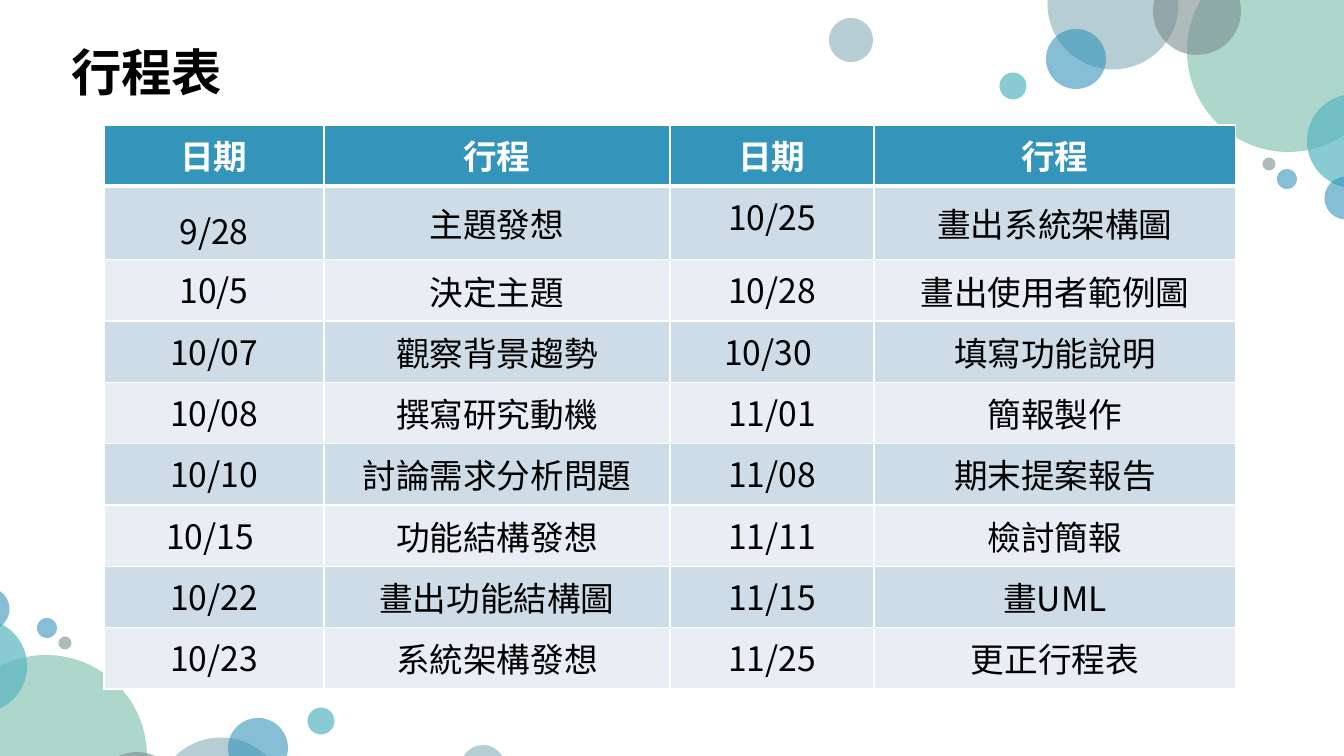
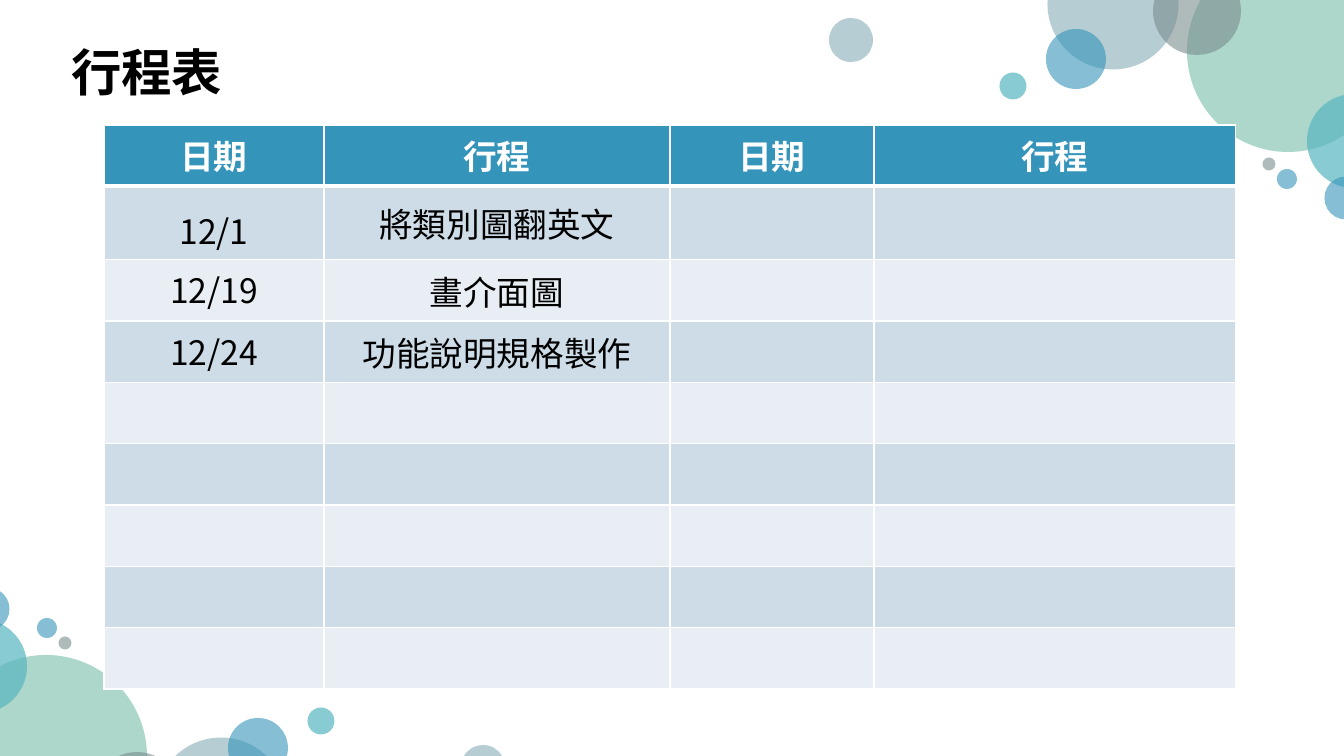
from lxml.etree import SubElement
from pptx import Presentation
from pptx.dml.color import RGBColor
from pptx.enum.shapes import MSO_SHAPE
from pptx.enum.text import MSO_ANCHOR, MSO_AUTO_SIZE, PP_ALIGN
from pptx.oxml.ns import qn
from pptx.util import Emu, Pt

PX_PER_INCH = 100.8
FONT = "Noto Sans CJK SC"
BLACK, WHITE = "000000", "FFFFFF"
BLUE, TEAL, GREEN = "3494BA", "58B6C0", "75BDA7"
MIST, GRAY = "84ACB6", "7A8C8E"
BANDS = ("CEDCE7", "E8EEF3")

COLUMN_WIDTHS = (220, 346, 204, 362)
HEADINGS = ("日期", "行程", "日期", "行程")
BODY_ROWS = 8

BUBBLES = (
    (1113, 4, 131, MIST, 60),
    (1288, 51, 202, GREEN, 60),
    (1197, 11, 88, GRAY, 60),
    (1076, 59, 60, BLUE, 60),
    (1354, 141, 94, TEAL, 70),
    (1013, 86, 27, TEAL, 70),
    (1346, 198, 43, BLUE, 60),
    (1287, 179, 20, BLUE, 60),
    (1269, 164, 13, GRAY, 60),
    (851, 40, 44, MIST, 60),
)
MIRROR_X, MIRROR_Y = 1334, 807

SCHEDULES = (
    (
        ("9/28", "主題發想", "10/25", "畫出系統架構圖"),
        ("10/5", "決定主題", "10/28", "畫出使用者範例圖"),
        ("10/07", "觀察背景趨勢", "10/30 ", "填寫功能說明"),
        ("10/08", "撰寫研究動機", "11/01", "簡報製作"),
        ("10/10", "討論需求分析問題", "11/08", "期末提案報告"),
        ("10/15 ", "功能結構發想", "11/11", "檢討簡報"),
        ("10/22", "畫出功能結構圖", "11/15", "畫UML"),
        ("10/23", "系統架構發想", "11/25", "更正行程表"),
    ),
    (
        ("12/1", "將類別圖翻英文"),
        ("12/19", "畫介面圖"),
        ("12/24", "功能說明規格製作"),
    ),
)


def px(length):
    """Turn a length in px into EMU."""
    return Emu(round(length * 914400 / PX_PER_INCH))


def rgb(value):
    """Turn a hex string into a colour."""
    return RGBColor.from_string(value)


def write_text(frame, text, size=24, color=BLACK, bold=False,
               align=PP_ALIGN.CENTER, spacing=None):
    """Write one formatted paragraph into a text frame."""
    paragraph = frame.paragraphs[0]
    paragraph.alignment = align
    if spacing:
        paragraph.line_spacing = spacing
    run = paragraph.add_run()
    run.text = text
    run.font.size = Pt(size)
    run.font.bold = bold
    run.font.color.rgb = rgb(color)
    run.font.name = FONT
    SubElement(run.font._element, qn("a:ea"), typeface=FONT)


def add_bubble(slide, center_x, center_y, diameter, color, opacity):
    """Add a translucent circle around a centre."""
    bubble = slide.shapes.add_shape(
        MSO_SHAPE.OVAL, px(center_x - diameter / 2),
        px(center_y - diameter / 2), px(diameter), px(diameter))
    bubble.shadow.inherit = False
    bubble.fill.solid()
    bubble.fill.fore_color.rgb = rgb(color)
    bubble.line.fill.background()
    tint = bubble.element.spPr.find(".//" + qn("a:srgbClr"))
    SubElement(tint, qn("a:alpha"), val=str(opacity * 1000))
    return bubble


def decorate_layout(layout, slide):
    """Draw both bubble clusters and hand them to the shared layout."""
    for placeholder in list(layout.placeholders)[1:]:
        layout.shapes.element.remove(placeholder.element)
    mirrored = [(MIRROR_X - x, MIRROR_Y - y, *look) for x, y, *look in BUBBLES]
    bubbles = [add_bubble(slide, *bubble) for bubble in (*BUBBLES, *mirrored)]
    for bubble in bubbles:
        layout.shapes.element.append(bubble.element)


def add_title(slide, text):
    """Place and fill the title placeholder."""
    title = slide.shapes.title
    title.left, title.top, title.width, title.height = map(px, (61, 35, 173, 72))
    frame = title.text_frame
    frame.word_wrap = False
    frame.auto_size = MSO_AUTO_SIZE.NONE
    frame.vertical_anchor = MSO_ANCHOR.MIDDLE
    write_text(frame, text, size=36, bold=True, align=PP_ALIGN.LEFT)


def style_cell(cell, fill, bottom=1):
    """Give a cell its white borders and its fill."""
    properties = cell._tc.get_or_add_tcPr()
    for side, width in (("L", 1), ("R", 1), ("T", 1), ("B", bottom)):
        border = SubElement(properties, qn(f"a:ln{side}"), w=str(Pt(width)))
        SubElement(SubElement(border, qn("a:solidFill")),
                   qn("a:srgbClr"), val=WHITE)
    cell.fill.solid()
    cell.fill.fore_color.rgb = rgb(fill)


def add_schedule(slide, entries):
    """Add the schedule table with its heading row and banded rows."""
    table = slide.shapes.add_table(
        BODY_ROWS + 1, len(HEADINGS), px(104), px(125),
        px(sum(COLUMN_WIDTHS)), px(552)).table
    for column, width in zip(table.columns, COLUMN_WIDTHS):
        column.width = px(width)
    for index, heading in enumerate(HEADINGS):
        cell = table.cell(0, index)
        style_cell(cell, BLUE, bottom=3)
        write_text(cell.text_frame, heading, color=WHITE, bold=True)
    for row in range(1, BODY_ROWS + 1):
        for index in range(len(HEADINGS)):
            style_cell(table.cell(row, index), BANDS[(row - 1) % 2])
    for row, entry in enumerate(entries, start=1):
        for index, text in enumerate(entry):
            cell = table.cell(row, index)
            if index % 2:
                cell.vertical_anchor = MSO_ANCHOR.MIDDLE
            first_date = row == 1 and index == 0
            write_text(cell.text_frame, text,
                       spacing=1.3 if first_date else None)


def main():
    """Build and save the presentation."""
    presentation = Presentation()
    presentation.slide_width, presentation.slide_height = px(1344), px(756)
    layout = presentation.slide_layouts[5]
    slides = [presentation.slides.add_slide(layout) for _ in SCHEDULES]
    decorate_layout(layout, slides[0])
    for slide, entries in zip(slides, SCHEDULES):
        add_title(slide, "行程表")
        add_schedule(slide, entries)
    presentation.save("out.pptx")


if __name__ == "__main__":
    main()
